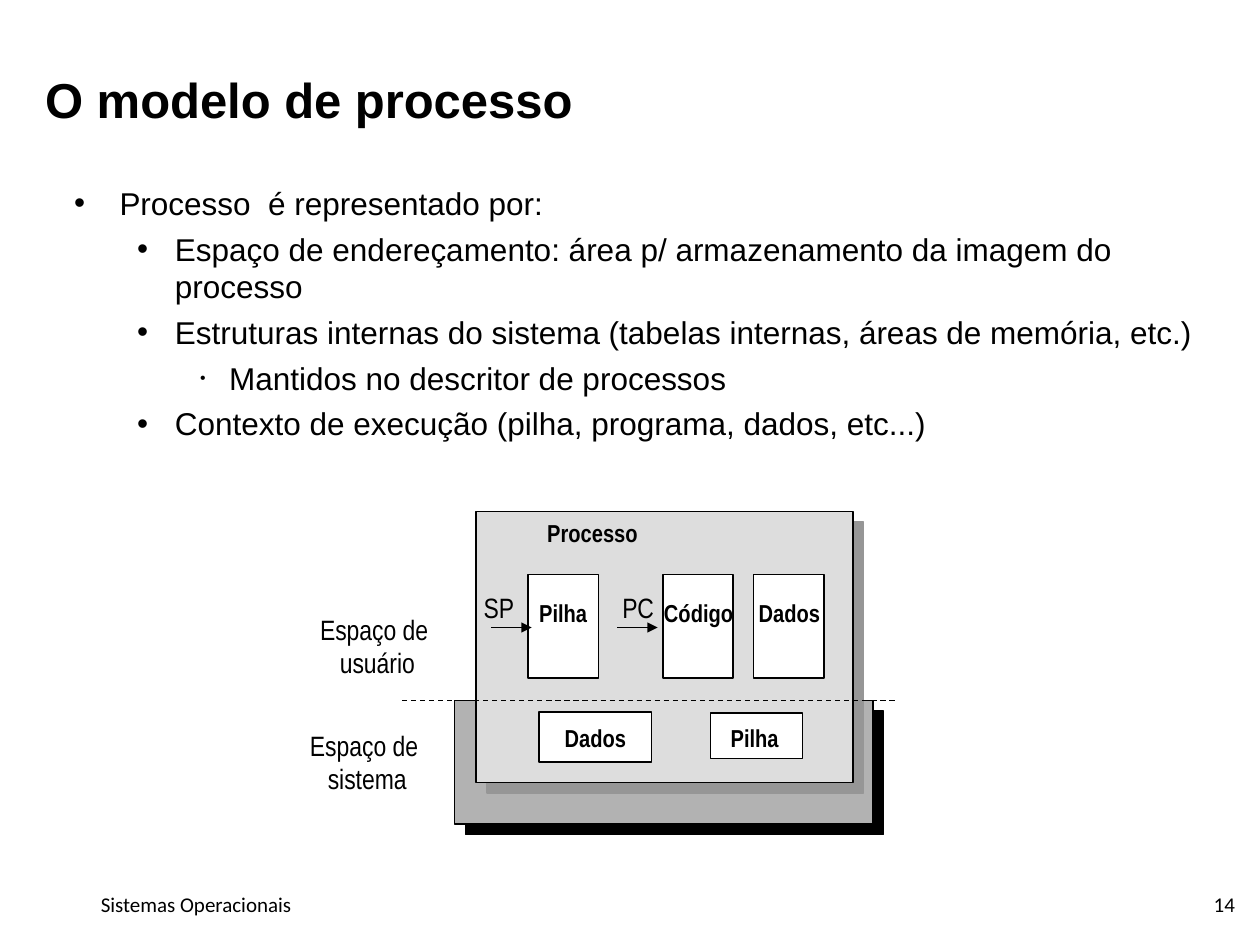
from lxml import etree
from pptx import Presentation, util as u
from pptx.dml.color import RGBColor
from pptx.enum import dml, shapes, text
from pptx.oxml.ns import qn

BLACK = RGBColor(0, 0, 0)
WHITE = RGBColor(255, 255, 255)
LIGHT = RGBColor(0xDD, 0xDD, 0xDD)
MID = RGBColor(0xB2, 0xB2, 0xB2)
SHADE = RGBColor(0x96, 0x96, 0x96)
LEFT, CENTER, RIGHT = text.PP_ALIGN.LEFT, text.PP_ALIGN.CENTER, text.PP_ALIGN.RIGHT

LABEL = {"size": u.Pt(14), "name": "Arial Narrow", "bold": True}
NOTE = {"size": u.Pt(16), "name": "Arial Narrow", "bold": False}
TITLE = {"size": u.Pt(28), "name": "Arial", "bold": True}
BODY = {"size": u.Pt(18), "name": "Arial", "bold": False}
FOOTER = {"size": u.Pt(12), "name": "Calibri", "bold": False}

INDENTS = [(0.36, -0.36), (0.8, -0.3), (1.23, -0.23)]


def set_all(target, values):
    for name, value in values.items():
        setattr(target, name, value)


def add_xml(parent, tag, **attrs):
    return etree.SubElement(parent, qn(tag), {k: str(v) for k, v in attrs.items()})


class Deck:
    def __init__(self, prs):
        self.s = prs.slides.add_slide(prs.slide_layouts[6])

    def add_text(self, at, lines, style, align=LEFT, wrap=False, margins=(0.1, 0.05),
                 anchor=text.MSO_ANCHOR.TOP, spacing=None):
        tf = self.s.shapes.add_textbox(*map(u.Inches, at)).text_frame
        side, top = map(u.Inches, margins)
        set_all(tf, {"word_wrap": wrap, "vertical_anchor": anchor, "margin_left": side,
                     "margin_right": side, "margin_top": top, "margin_bottom": top})
        for i, line in enumerate(lines):
            p = tf.add_paragraph() if i else tf.paragraphs[0]
            set_all(p, {"alignment": align, "line_spacing": spacing})
            r = p.add_run()
            r.text = line
            set_all(r.font, style)
            r.font.color.rgb = BLACK
        return tf

    def bullets(self, at, items):
        tf = self.add_text(at, [line for _, line in items], BODY, wrap=True)
        for i, (p, (level, _)) in enumerate(zip(tf.paragraphs, items)):
            p.level = level
            left, first = INDENTS[level]
            pPr = p._p.get_or_add_pPr()
            pPr.set("marL", str(u.Inches(left)))
            pPr.set("indent", str(u.Inches(first)))
            add_xml(add_xml(pPr, "a:buClr"), "a:srgbClr", val=BLACK)
            add_xml(pPr, "a:buSzPct", val=50000 if level == 2 else 100000)
            add_xml(pPr, "a:buFont", typeface="Arial")
            add_xml(pPr, "a:buChar", char="•")
            if i:
                p.space_before = u.Pt(4.5)

    def box(self, at, fill=WHITE, width=1, shadow=None):
        sp = self.s.shapes.add_shape(shapes.MSO_SHAPE.RECTANGLE, *map(u.Inches, at))
        sp.shadow.inherit = False
        sp.fill.solid()
        sp.fill.fore_color.rgb = fill
        sp.line.color.rgb = BLACK
        sp.line.width = u.Pt(width)
        if shadow is not None:
            effects = sp._element.spPr.find(qn("a:effectLst"))
            outer = add_xml(effects, "a:outerShdw", blurRad=0, dist=u.Pt(8.5),
                            dir=45 * 60000, algn="ctr", rotWithShape=0)
            add_xml(outer, "a:srgbClr", val=shadow)

    def line(self, x1, x2, y, arrow=False):
        c = self.s.shapes.add_connector(shapes.MSO_CONNECTOR.STRAIGHT,
                                        *map(u.Inches, (x1, y, x2, y)))
        c.line.color.rgb = BLACK
        c.line.width = u.Pt(0.75)
        if arrow:
            add_xml(c.line._get_or_add_ln(), "a:tailEnd", type="triangle")
        else:
            c.line.dash_style = dml.MSO_LINE.DASH
        add_xml(c._element.spPr, "a:effectLst")


def main():
    prs = Presentation()
    set_all(prs, {"slide_width": u.Inches(10), "slide_height": u.Inches(7.5)})
    d = Deck(prs)

    d.add_text((0.75, 7.03, 8.1, 0.33), ["Sistemas Operacionais"], FOOTER, wrap=True,
               margins=(0.05, 0.05))
    d.add_text((8.44, 7.04, 1.46, 0.27), ["14"], FOOTER, RIGHT, wrap=True, margins=(0.1, 0),
               anchor=text.MSO_ANCHOR.MIDDLE)
    d.add_text((0.26, 0.57, 8.31, 0.91), ["O modelo de processo"], TITLE, wrap=True,
               spacing=0.85)
    d.bullets((0.49, 1.41, 9.35, 2.51), [
        (0, "Processo  é representado por:"),
        (1, "Espaço de endereçamento: área p/ armazenamento da imagem do processo"),
        (1, "Estruturas internas do sistema (tabelas internas, áreas de memória, etc.)"),
        (2, "Mantidos no descritor de processos"),
        (1, "Contexto de execução (pilha, programa, dados, etc...)"),
    ])

    d.box((3.61, 5.56, 3.32, 0.98), MID, 0.75, BLACK)
    d.box((3.78, 4.06, 2.99, 2.15), LIGHT, 1, SHADE)
    d.add_text((4.24, 4.06, 0.97, 0.33), ["Processo "], LABEL, CENTER)

    for x, label_x, label_w, label in [(4.19, 4.18, 0.58, "Pilha"),
                                       (5.26, 5.17, 0.75, "Código"),
                                       (5.98, 5.92, 0.69, "Dados")]:
        d.box((x, 4.56, 0.56, 0.82))
        d.add_text((label_x, 4.7, label_w, 0.33), [label], LABEL, CENTER)

    for at, label_x, label_w, label in [((4.28, 5.65, 0.89, 0.4), 4.38, 0.69, "Dados"),
                                        ((5.64, 5.66, 0.73, 0.36), 5.7, 0.58, "Pilha")]:
        d.box(at)
        d.add_text((label_x, 5.69, label_w, 0.33), [label], LABEL, CENTER)

    for x, label_x, register in [(3.9, 3.74, "SP"), (4.9, 4.84, "PC")]:
        d.line(x, x + 0.32, 4.98, arrow=True)
        d.add_text((label_x, 4.64, 0.45, 0.37), [register], NOTE)

    d.line(3.19, 7.1, 5.56)
    d.add_text((2.44, 4.81, 1.06, 0.64), ["Espaço de", " usuário"], NOTE, CENTER)
    d.add_text((2.36, 5.73, 1.11, 0.64), ["Espaço de ", "sistema"], NOTE, CENTER)

    prs.save("out.pptx")


if __name__ == "__main__":
    main()
